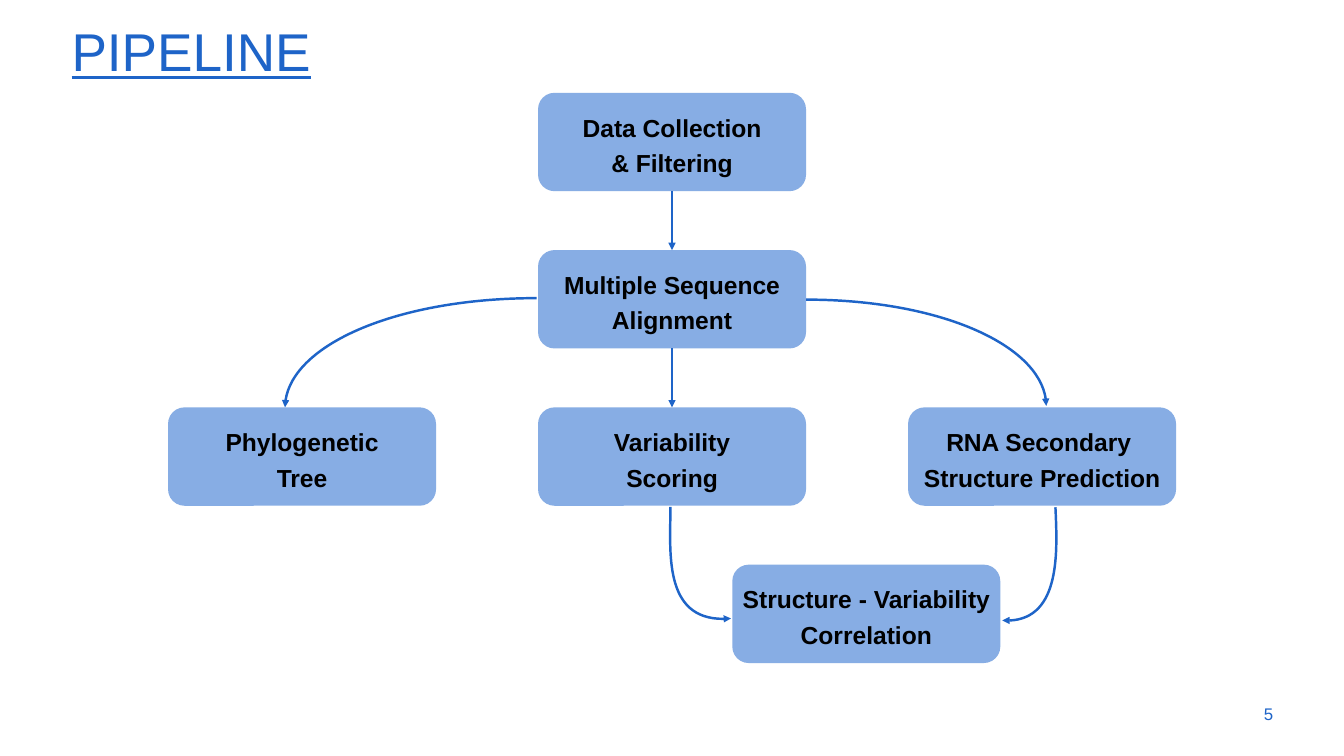
from dataclasses import dataclass

from lxml import etree
from pptx import Presentation
from pptx.dml.color import RGBColor
from pptx.enum.shapes import MSO_CONNECTOR as Link, MSO_SHAPE as Preset
from pptx.enum.text import MSO_ANCHOR as Anchor, MSO_AUTO_SIZE as AutoSize, PP_ALIGN as Align
from pptx.oxml.ns import qn
from pptx.util import Pt


@dataclass(frozen=True)
class Theme:
    font: str = "Arial"
    accent: RGBColor = RGBColor(0x1E, 0x64, 0xC8)
    box_fill: RGBColor = RGBColor(0x87, 0xAD, 0xE4)
    box_text: RGBColor = RGBColor(0, 0, 0)
    title_size: float = 54
    box_size: float = 25
    number_size: float = 17.1
    line_width: float = 2.5


class Flowchart:
    """Holds the theme and the current page; all lengths are in points."""

    def __init__(self, page, theme):
        self.page = page
        self.theme = theme

    def style(self, para, size, color, align, bold=False):
        para.alignment = align
        font = para.font
        font.name, font.size, font.bold = self.theme.font, Pt(size), bold
        font.color.rgb = color

    def title(self, text, left, top, width, height):
        title = self.page.shapes.title
        title.left, title.top = Pt(left), Pt(top)
        title.width, title.height = Pt(width), Pt(height)
        frame = title.text_frame
        frame.text = text
        frame.auto_size = AutoSize.NONE
        frame.vertical_anchor = Anchor.BOTTOM
        para = frame.paragraphs[0]
        self.style(para, self.theme.title_size, self.theme.accent, Align.LEFT)
        para.font.underline = True
        para.line_spacing = 0.9

    def page_number(self, text, left, top, width, height):
        box = self.page.shapes.add_textbox(Pt(left), Pt(top), Pt(width), Pt(height))
        frame = box.text_frame
        frame.word_wrap = True
        frame.vertical_anchor = Anchor.MIDDLE
        frame.text = text
        self.style(frame.paragraphs[0], self.theme.number_size, self.theme.accent, Align.RIGHT)

    def step(self, text, left, top, width, height):
        box = self.page.shapes.add_shape(
            Preset.ROUNDED_RECTANGLE, Pt(left), Pt(top), Pt(width), Pt(height))
        box.shadow.inherit = False
        box.fill.solid()
        box.fill.fore_color.rgb = self.theme.box_fill
        box.line.fill.background()
        frame = box.text_frame
        frame.word_wrap = False
        frame.vertical_anchor = Anchor.MIDDLE
        frame.text = text
        for para in frame.paragraphs:
            self.style(para, self.theme.box_size, self.theme.box_text, Align.CENTER, bold=True)
            para.line_spacing = 1.2
        return box

    def arrow_line(self, line):
        line.color.rgb = self.theme.accent
        line.width = Pt(self.theme.line_width)
        etree.SubElement(line._get_or_add_ln(), qn("a:tailEnd"), type="triangle")

    def down_arrow(self, upper, lower):
        arrow = self.page.shapes.add_connector(Link.STRAIGHT, 0, 0, 0, 0)
        arrow.begin_connect(upper, 2)
        arrow.end_connect(lower, 0)
        self.arrow_line(arrow.line)
        etree.SubElement(arrow._element.spPr, qn("a:effectLst"))

    def curved_arrow(self, start, *controls_and_end):
        builder = self.page.shapes.build_freeform(Pt(start[0]), Pt(start[1]))
        builder.add_line_segments([(Pt(x), Pt(y)) for x, y in controls_and_end], close=False)
        curve = builder.convert_to_shape()
        curve.shadow.inherit = False
        curve.fill.background()
        self.arrow_line(curve.line)
        # Merge the three straight segments into one Bezier segment
        outline = next(curve._element.iter(qn("a:path")))
        bezier = etree.SubElement(outline, qn("a:cubicBezTo"))
        for segment in outline.findall(qn("a:lnTo")):
            bezier.append(segment[0])
            outline.remove(segment)

    def quarter_arrow(self, start, end):
        """Quarter ellipse that leaves sideways and arrives from above."""
        (x1, y1), (x2, y2) = start, end
        bend = 0.55
        self.curved_arrow(start, (x1 + bend * (x2 - x1), y1), (x2, y2 - bend * (y2 - y1)), end)


def main():
    deck = Presentation()
    deck.slide_width, deck.slide_height = Pt(1365.12), Pt(768.24)
    page = deck.slides.add_slide(deck.slide_layouts[5])
    chart = Flowchart(page, Theme())

    # Title and page number
    chart.title("PIPELINE", 65.5, 20.2, 1237, 67.7)
    chart.page_number("5", 1227.6, 704.9, 72.7, 41)

    # Steps: text, horizontal offset from the middle column, row
    box_width, box_height = 272.2, 100
    middle_left, first_top, row_pitch, column_pitch = 546.5, 94.3, 159.84, 375.84
    steps = {
        "collection": ("Data Collection\n& Filtering", 0, 0),
        "alignment": ("Multiple Sequence\nAlignment", 0, 1),
        "scoring": ("Variability\nScoring", 0, 2),
        "tree": ("Phylogenetic\nTree", -column_pitch, 2),
        "prediction": ("RNA Secondary \nStructure Prediction", column_pitch, 2),
        "correlation": ("Structure - Variability\nCorrelation", 197.3, 3),
    }
    boxes = {
        name: chart.step(text, middle_left + offset, first_top + row * row_pitch,
                         box_width, box_height)
        for name, (text, offset, row) in steps.items()
    }

    # Straight arrows down the middle column
    chart.down_arrow(boxes["collection"], boxes["alignment"])
    chart.down_arrow(boxes["alignment"], boxes["scoring"])

    # Curved arrows from the alignment to the side branches
    chart.quarter_arrow((545, 303), (289.5, 414))
    chart.quarter_arrow((818.7, 304.5), (1062.7, 412.5))

    # Curved arrows into the correlation
    chart.curved_arrow((681, 515), (681, 559.5), (672.5, 635), (742.5, 628.5))
    chart.curved_arrow((1072, 515.5), (1074, 559.5), (1078, 634.5), (1018, 630.5))

    deck.save("out.pptx")


if __name__ == "__main__":
    main()
